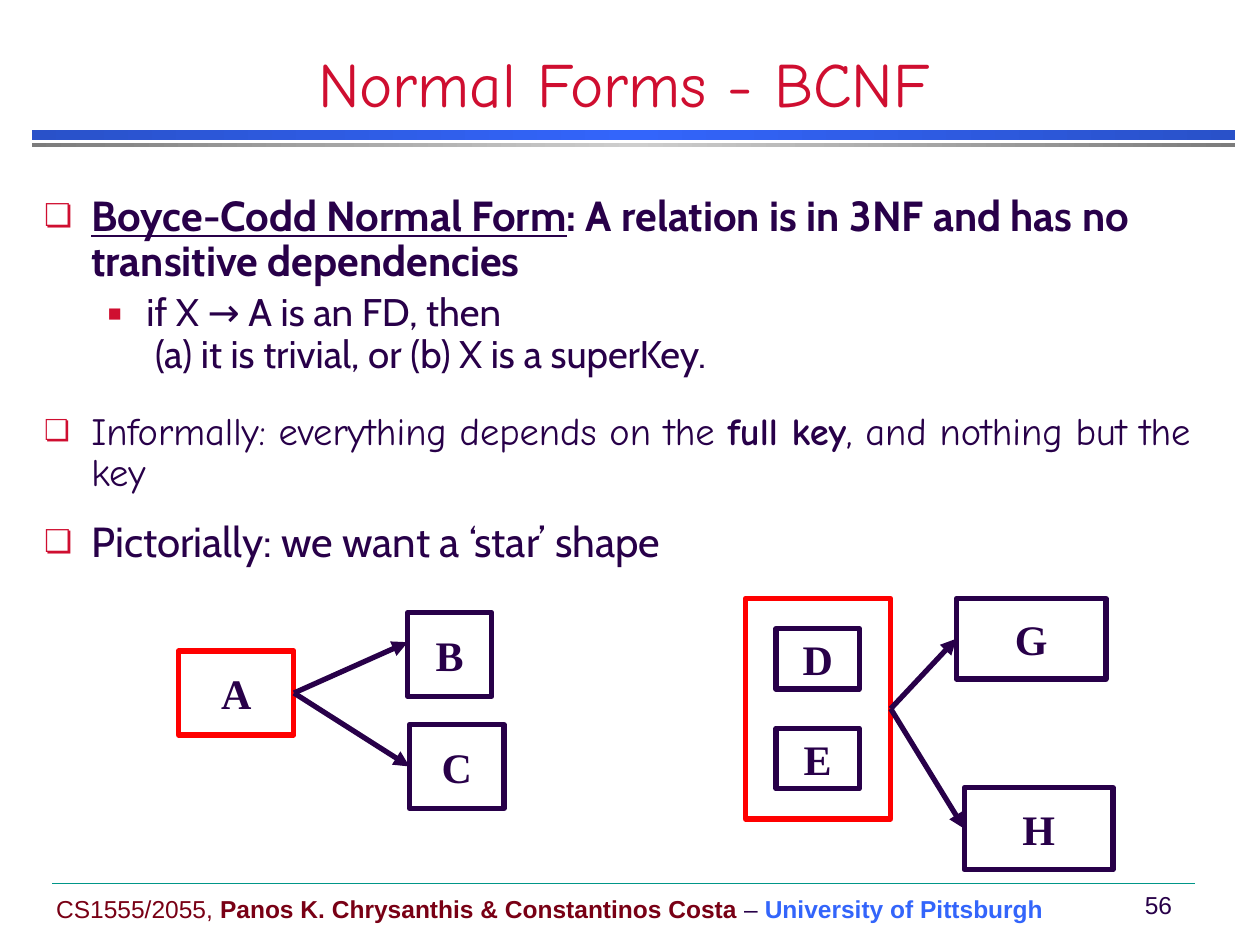
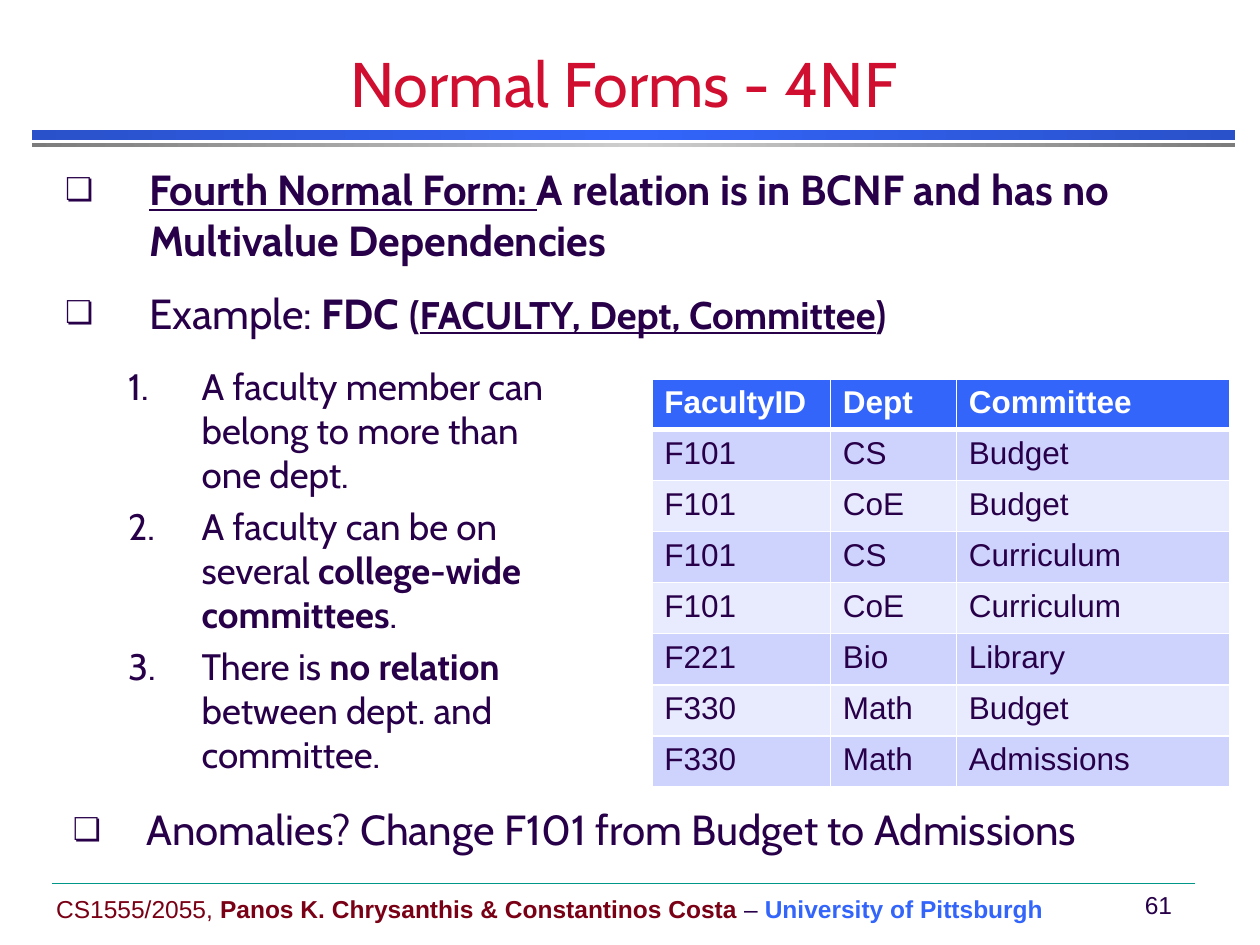
"""Build two lecture slides on the BCNF and 4NF normal forms."""
import copy

import lxml.etree
import pptx
import pptx.dml.color
import pptx.enum.shapes
import pptx.enum.text
import pptx.oxml.ns
import pptx.util

Pt = pptx.util.Pt
qn = pptx.oxml.ns.qn
SubElement = lxml.etree.SubElement
ALIGN = pptx.enum.text.PP_ALIGN
ANCHOR = pptx.enum.text.MSO_ANCHOR

COLORS = {
    "ink": "280049", "title": "CF0E30", "maroon": "790015", "blue": "3365FB",
    "blue_edge": "2951C9", "gray": "CECECE", "gray_edge": "7C7C7C",
    "rule": "009688", "key": "FF0000", "white": "FFFFFF",
    "row_dark": "CED3FD", "row_light": "E8EAFE",
}

TOPIC = dict(left=27, hang=27, bullet="❏", bullet_size=75, bullet_color="title", line_spacing=0.9)
DETAIL = dict(level=1, left=58.5, hang=22.5, bullet="▪", bullet_color="title", line_spacing=0.9)
WIDE_TOPIC = dict(left=48, hang=48, bullet="❏", bullet_size=75, bullet_color="ink")
NUMBERED = dict(level=1, left=78, hang=42, bullet_color="ink")

BCNF_POINTS = [
    (TOPIC, 0, dict(size=24, bold=True),
     [("Boyce-Codd Normal Form", dict(underline=True)),
      (": A relation is in 3NF and has no transitive dependencies", {})]),
    (DETAIL, 4.4, dict(size=22),
     [("if X → A is an FD, then\n (a) it is trivial, or (b) X is a superKey.", {})]),
    (TOPIC, 20, dict(size=22, font="Comic Neue"),
     [("Informally: everything depends on the ", {}),
      ("full key", dict(bold=True)),
      (", and nothing but the key", {})]),
    (TOPIC, 15, dict(size=24), [("Pictorially: we want a ‘star’ shape", {})]),
]

FOURTH_NF_POINTS = [
    (WIDE_TOPIC, 0, dict(size=24, bold=True),
     [("Fourth Normal Form: ", dict(underline=True)),
      ("A relation is in BCNF and has no Multivalue Dependencies", {})]),
    (WIDE_TOPIC, 13, dict(size=24),
     [("Example: ", {}),
      ("FDC ", dict(bold=True)),
      ("(", dict(size=22, bold=True)),
      ("FACULTY, Dept, Committee", dict(size=22, bold=True, underline=True)),
      (")", dict(size=22, bold=True))]),
    (NUMBERED, 15, dict(size=21),
     [("A faculty member can\nbelong to more than\none dept.", {})]),
    (NUMBERED, 4.2, dict(size=21),
     [("A faculty can be on\nseveral ", {}),
      ("college-wide\ncommittees", dict(bold=True)),
      (".", {})]),
    (NUMBERED, 4.2, dict(size=21),
     [("There is ", {}),
      ("no relation\n", dict(bold=True)),
      ("between dept. and\ncommittee.", {})]),
    (dict(WIDE_TOPIC, left=46.5, hang=42), 16, dict(size=24),
     [("Anomalies? Change F101 from Budget to Admissions", {})]),
]

FACULTY_ROWS = [
    ("FacultyID", "Dept", "Committee"),
    ("F101", "CS", "Budget"),
    ("F101", "CoE", "Budget"),
    ("F101", "CS", "Curriculum"),
    ("F101", "CoE", "Curriculum"),
    ("F221", "Bio", "Library"),
    ("F330", "Math", "Budget"),
    ("F330", "Math", "Admissions"),
]


def rgb(name):
    return pptx.dml.color.RGBColor.from_string(COLORS[name])


def points(*lengths):
    return [Pt(length) for length in lengths]


def write(paragraph, text, size=24, font="Cabin", color="ink", bold=False, underline=False):
    for index, line in enumerate(text.split("\n")):
        if index:
            paragraph.add_line_break()
            line_break = paragraph._p[-1]
            line_break.append(copy.deepcopy(run._r.rPr))
        run = paragraph.add_run()
        run.text = line
        run.font.size = Pt(size)
        run.font.name = font
        run.font.bold = bold
        run.font.underline = underline
        run.font.color.rgb = rgb(color)


def set_bullet(paragraph, left, hang, bullet_color, bullet=None, bullet_size=100):
    properties = paragraph._p.get_or_add_pPr()
    properties.set("marL", str(Pt(left)))
    properties.set("indent", str(-Pt(hang)))
    SubElement(SubElement(properties, qn("a:buClr")), qn("a:srgbClr"), val=COLORS[bullet_color])
    SubElement(properties, qn("a:buSzPct"), val=str(bullet_size * 1000))
    SubElement(properties, qn("a:buFont"), typeface="Cabin")
    if bullet:
        SubElement(properties, qn("a:buChar"), char=bullet)
    else:
        SubElement(properties, qn("a:buAutoNum"), type="arabicPeriod")


def place(shape, left, top, width, height):
    shape.left, shape.top, shape.width, shape.height = points(left, top, width, height)


def add_title(slide, text, font):
    title = slide.shapes.title
    place(title, 0, 30, 713, 42)
    frame = title.text_frame
    frame.auto_size = pptx.enum.text.MSO_AUTO_SIZE.NONE
    frame.vertical_anchor = ANCHOR.BOTTOM
    frame.paragraphs[0].alignment = ALIGN.CENTER
    write(frame.paragraphs[0], text, size=36, font=font, color="title")


def add_points(slide, area, items):
    body = slide.placeholders[1]
    place(body, *area)
    frame = body.text_frame
    frame.auto_size = pptx.enum.text.MSO_AUTO_SIZE.NONE
    for index, (style, space_before, text_format, runs) in enumerate(items):
        paragraph = frame.add_paragraph() if index else frame.paragraphs[0]
        bullet_style = dict(style)
        paragraph.level = bullet_style.pop("level", 0)
        paragraph.line_spacing = bullet_style.pop("line_spacing", 1.0)
        paragraph.space_before = Pt(space_before)
        set_bullet(paragraph, **bullet_style)
        for text, emphasis in runs:
            write(paragraph, text, **{**text_format, **emphasis})


def add_rectangle(slide, area):
    rectangle = slide.shapes.add_shape(pptx.enum.shapes.MSO_SHAPE.RECTANGLE, *points(*area))
    rectangle.shadow.inherit = False
    return rectangle


def add_band(slide, top, height, edge, middle):
    band = add_rectangle(slide, (18, top, 688, height))
    band.line.fill.background()
    band.fill.gradient()
    band.fill.gradient_angle = 0
    stops = band._element.spPr.find(".//" + qn("a:gsLst"))
    for stop in list(stops):
        stops.remove(stop)
    for position, color in ((0, edge), (50000, middle), (100000, edge)):
        stop = SubElement(stops, qn("a:gs"), pos=str(position))
        SubElement(stop, qn("a:srgbClr"), val=COLORS[color])


def add_line(slide, start, end, color="ink", width=3.0):
    line = slide.shapes.add_connector(
        pptx.enum.shapes.MSO_CONNECTOR.STRAIGHT, *points(*start, *end))
    line.line.color.rgb = rgb(color)
    line.line.width = Pt(width)
    SubElement(line._element.spPr, qn("a:effectLst"))
    return line


def add_text(slide, area, runs, alignment=ALIGN.LEFT):
    frame = slide.shapes.add_textbox(*points(*area)).text_frame
    frame.word_wrap = True
    frame.vertical_anchor = ANCHOR.MIDDLE
    frame.paragraphs[0].alignment = alignment
    for text, text_format in runs:
        write(frame.paragraphs[0], text, size=14, font="Arial", **text_format)


def add_slide(deck, title, title_font, number):
    slide = deck.slides.add_slide(deck.slide_layouts[1])
    add_band(slide, 74.2, 5.8, "blue_edge", "blue")
    add_band(slide, 82, 2.2, "gray_edge", "gray")
    add_text(slide, (25, 507, 584, 24), [
        ("CS1555/2055, ", dict(color="maroon")),
        ("Panos K. Chrysanthis & Constantinos Costa", dict(color="maroon", bold=True)),
        (" – ", {}),
        ("University of Pittsburgh", dict(color="blue", bold=True)),
    ])
    add_text(slide, (644, 505, 36, 24), [(number, {})], ALIGN.CENTER)
    add_line(slide, (30, 504.7), (683, 504.7), "rule", 0.25)
    add_title(slide, title, title_font)
    return slide


def add_attribute(slide, area, name="", color="ink"):
    attribute = add_rectangle(slide, area)
    attribute.fill.background()
    attribute.line.color.rgb = rgb(color)
    attribute.line.width = Pt(3)
    if name:
        frame = attribute.text_frame
        frame.margin_left = frame.margin_right = frame.margin_top = frame.margin_bottom = 0
        frame.vertical_anchor = ANCHOR.MIDDLE
        frame.paragraphs[0].alignment = ALIGN.CENTER
        write(frame.paragraphs[0], name, font="Times New Roman", bold=True)
    return attribute


def add_dependency(slide, key, dependent=None, tip=(0, 0)):
    arrow = add_line(slide, (0, 0), tip)
    arrow.begin_connect(key, 3)
    if dependent is not None:
        arrow.end_connect(dependent, 1)
    SubElement(arrow.line._get_or_add_ln(), qn("a:tailEnd"), type="triangle")


def add_faculty_table(slide):
    widths = (102, 72, 156)
    table = slide.shapes.add_table(
        len(FACULTY_ROWS), len(widths), *points(372.5, 216.5, sum(widths), 232)).table
    table.horz_banding = False
    for column, width in zip(table.columns, widths):
        column.width = Pt(width)
    for row_index, values in enumerate(FACULTY_ROWS):
        header = row_index == 0
        fill = "blue" if header else ("row_light", "row_dark")[row_index % 2]
        table.rows[row_index].height = Pt(28.8 if header else 29.2)
        for column_index, value in enumerate(values):
            cell = table.cell(row_index, column_index)
            top, bottom = 3 if row_index == 1 else 1, 3 if header else 1
            for side, width in (("L", 1), ("R", 1), ("T", top), ("B", bottom)):
                border = SubElement(cell._tc.get_or_add_tcPr(), qn("a:ln" + side), w=str(Pt(width)))
                SubElement(SubElement(border, qn("a:solidFill")), qn("a:srgbClr"),
                           val=COLORS["white"])
            cell.fill.solid()
            cell.fill.fore_color.rgb = rgb(fill)
            write(cell.text_frame.paragraphs[0], value, size=18, font="Arial",
                  color="white" if header else "ink", bold=header)


def build_bcnf(deck):
    slide = add_slide(deck, "Normal Forms - BCNF", "Comic Neue", "56")
    add_points(slide, (18, 108, 684, 215), BCNF_POINTS)

    single_key = add_attribute(slide, (102, 372, 66, 48), "A", "key")
    add_attribute(slide, (233, 350, 48, 48), "B")
    attribute_c = add_attribute(slide, (234, 414, 54, 48), "C")
    add_dependency(slide, single_key, tip=(233, 367))
    add_dependency(slide, single_key, attribute_c)

    composite_key = add_attribute(slide, (426, 342, 83, 126), color="key")
    for name, top in (("D", 359.3), ("E", 416.2)):
        add_attribute(slide, (443.5, top, 47.5, 34.5), name)
    for name, area in (("G", (546.5, 342, 85.5, 46)), ("H", (551, 450, 85, 47))):
        add_dependency(slide, composite_key, add_attribute(slide, area, name))


def build_4nf(deck):
    slide = add_slide(deck, "Normal Forms - 4NF", "Cabin", "61")
    add_points(slide, (30, 90, 636, 408), FOURTH_NF_POINTS)
    add_faculty_table(slide)


def main():
    deck = pptx.Presentation()
    deck.slide_width, deck.slide_height = points(720, 540)
    build_bcnf(deck)
    build_4nf(deck)
    deck.save("out.pptx")


if __name__ == "__main__":
    main()
